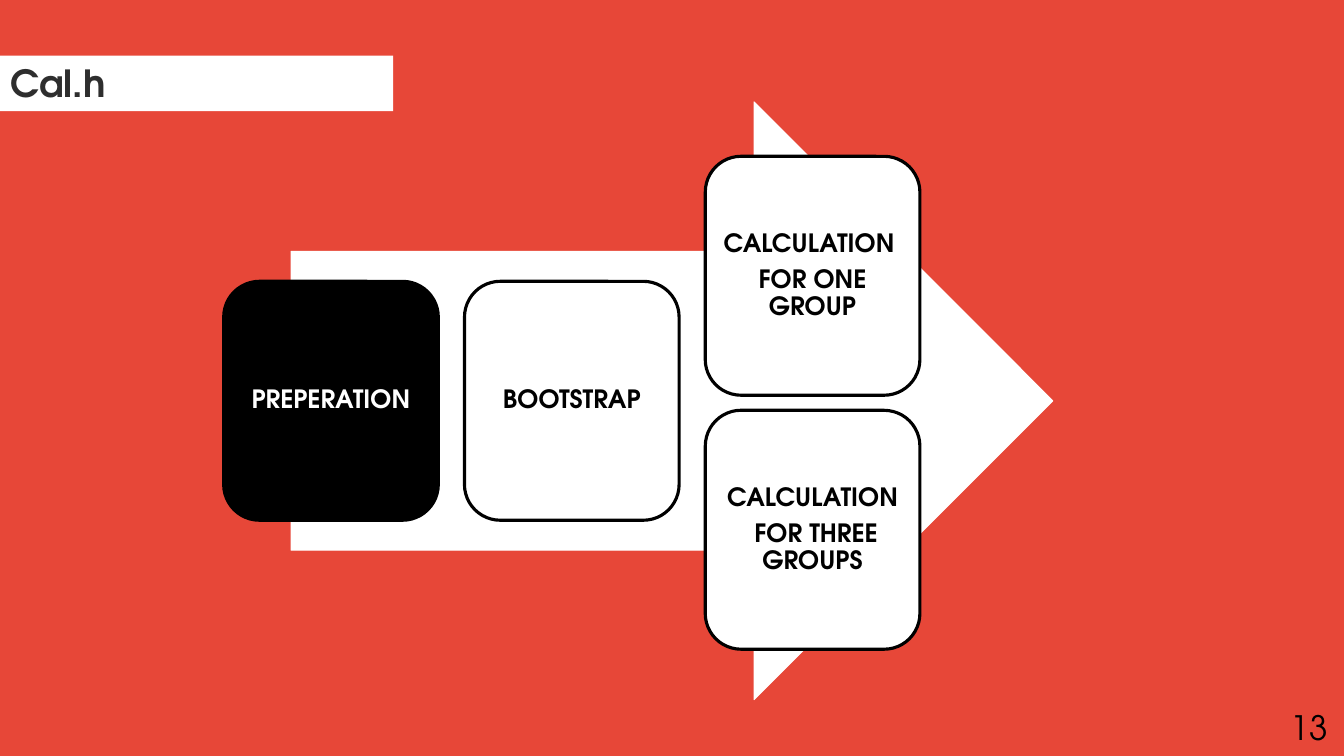
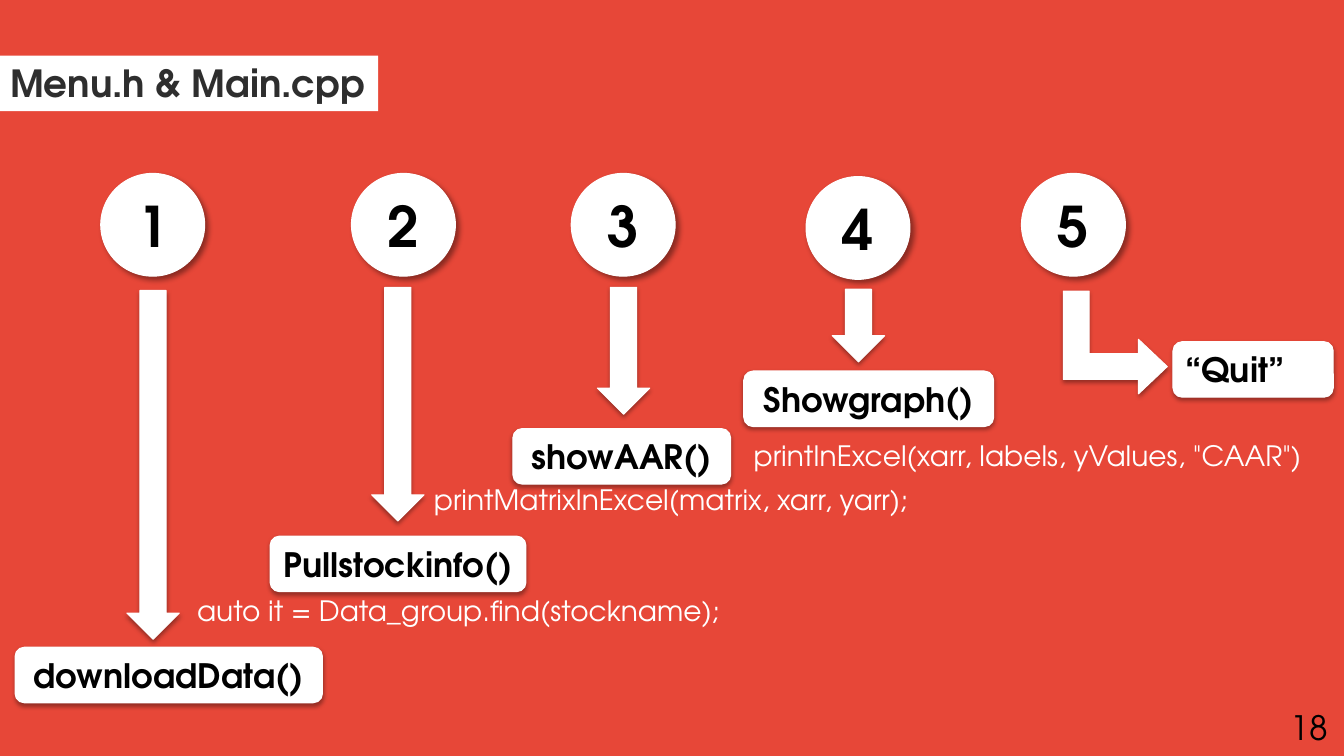
from dataclasses import dataclass
from typing import NamedTuple, Optional

from lxml import etree
from pptx import Presentation
from pptx.dml.color import RGBColor
from pptx.enum.shapes import MSO_SHAPE
from pptx.enum.text import MSO_ANCHOR, MSO_AUTO_SIZE, PP_ALIGN
from pptx.oxml.ns import qn
from pptx.util import Cm, Pt

LEFT, CENTER = PP_ALIGN.LEFT, PP_ALIGN.CENTER
TOP, MIDDLE = MSO_ANCHOR.TOP, MSO_ANCHOR.MIDDLE
ROUND, OVAL = MSO_SHAPE.ROUNDED_RECTANGLE, MSO_SHAPE.OVAL
RIGHT_ARROW, DOWN_ARROW = MSO_SHAPE.RIGHT_ARROW, MSO_SHAPE.DOWN_ARROW
BENT_ARROW = MSO_SHAPE.BENT_UP_ARROW
TITLE_ONLY = 5


@dataclass(frozen=True)
class Theme:
    font: str = "TeX Gyre Adventor"
    red: RGBColor = RGBColor(0xE7, 0x47, 0x38)
    white: RGBColor = RGBColor(0xFF, 0xFF, 0xFF)
    black: RGBColor = RGBColor(0, 0, 0)
    grey: RGBColor = RGBColor(0x2E, 0x2E, 0x2E)
    title: float = 26.7
    number: float = 40
    label: float = 24
    code: float = 20
    card: float = 18
    thin: float = 0.75
    thick: float = 2.25


T = Theme()


class Box(NamedTuple):
    """Left, top, width and height in centimetres."""
    x: float
    y: float
    w: float
    h: float


class Shadow(NamedTuple):
    alpha: int
    blur: float
    dist: float
    angle: int


class Card(NamedTuple):
    col: int
    y: float
    lines: tuple[str, ...]
    dark: bool = False


class Step(NamedTuple):
    cx: float
    y: float
    label: str
    label_x: float
    label_y: float
    label_w: float
    arrow: Optional[Box] = None
    code: str = ""
    code_x: float = 0
    code_y: float = 0
    code_w: float = 0
    align: PP_ALIGN = CENTER


SOFT = Shadow(35, 3.15, 1.8, 90)
DEEP = Shadow(40, 4, 3, 45)

# Process cards: three columns, the last one stacked
CARD_W, CARD_H, CARD_X, CARD_PITCH = 5.41, 6.02, 5.64, 6.07
CARD_Y, STACK_Y, STACK_PITCH = 7.09, 3.94, 6.4
CARDS = (
    Card(0, CARD_Y, ("PREPERATION",), True),
    Card(1, CARD_Y, ("BOOTSTRAP",)),
    Card(2, STACK_Y, ("CALCULATION ", "FOR ONE GROUP")),
    Card(2, STACK_Y + STACK_PITCH, ("CALCULATION", " FOR THREE GROUPS")),
)

# Menu steps: numbered circle, arrow, function label and code line
CIRCLE_W, CIRCLE_H, LABEL_H, CODE_H, ARROW_W = 2.62, 2.59, 1.4, 1.12, 1.32
STEPS = (
    Step(3.85, 4.37, "downloadData()", 0.38, 16.31, 7.75,
         Box(3.2, 7.32, ARROW_W, 8.79)),
    Step(10.17, 4.37, "Pullstockinfo()", 6.81, 13.51, 6.45,
         Box(9.37, 7.24, ARROW_W, 5.89),
         "auto it = Data_group.find(stockname);", 4.72, 14.83, 14.1),
    Step(15.71, 4.37, "showAAR()", 12.93, 10.8, 5.49,
         Box(15.06, 7.24, ARROW_W, 3.2),
         "printMatrixInExcel(matrix, xarr, yarr);", 10.69, 12.04, 12.7),
    Step(21.63, 4.45, "Showgraph()", 18.75, 9.35, 6.3,
         Box(20.98, 7.29, ARROW_W, 1.83),
         'printInExcel(xarr, labels, yValues, "CAAR")', 18.75, 10.92, 14.55),
    Step(27.06, 4.37, "“Quit”", 29.57, 8.61, 4.04, align=LEFT),
)


def place(sp, box: Box) -> None:
    sp.left, sp.top, sp.width, sp.height = (Cm(v) for v in box)


def write(sp, lines: tuple[str, ...], size: float, color: RGBColor,
          bold: bool = False, align: PP_ALIGN = LEFT,
          anchor: MSO_ANCHOR = TOP) -> None:
    tf = sp.text_frame
    tf.auto_size = MSO_AUTO_SIZE.NONE
    tf.word_wrap = True
    tf.vertical_anchor = anchor
    for i, line in enumerate(lines):
        p = tf.add_paragraph() if i else tf.paragraphs[0]
        p.alignment = align
        r = p.add_run()
        r.text = line
        r.font.name, r.font.size, r.font.bold = T.font, Pt(size), bold
        r.font.color.rgb = color


def add_shape(slide, kind: MSO_SHAPE, box: Box, fill: RGBColor = T.white,
              line: RGBColor = T.white, width: float = T.thin,
              shadow: Optional[Shadow] = None):
    sp = slide.shapes.add_shape(kind, *(Cm(v) for v in box))
    sp.fill.solid()
    sp.fill.fore_color.rgb = fill
    sp.line.color.rgb = line
    sp.line.width = Pt(width)
    sp.shadow.inherit = False
    if shadow:
        effects = sp._element.spPr.find(qn("a:effectLst"))
        outer = etree.SubElement(
            effects, qn("a:outerShdw"), blurRad=str(Pt(shadow.blur)),
            dist=str(Pt(shadow.dist)), dir=str(shadow.angle * 60000),
            rotWithShape="0")
        clr = etree.SubElement(outer, qn("a:srgbClr"), val=str(T.black))
        etree.SubElement(clr, qn("a:alpha"), val=str(shadow.alpha * 1000))
    return sp


def add_text(slide, box: Box, text: str, size: float, color: RGBColor) -> None:
    sp = slide.shapes.add_textbox(*(Cm(v) for v in box))
    write(sp, (text,), size, color)


def add_slide(prs, title: str, band_w: float, page: int):
    """Title on its white band, and the page number."""
    slide = prs.slides.add_slide(prs.slide_layouts[TITLE_ONLY])
    sp = slide.shapes.title
    place(sp, Box(0, 1.4, band_w, 1.4))
    sp.fill.solid()
    sp.fill.fore_color.rgb = T.white
    write(sp, (title,), T.title, T.grey, bold=True)
    add_text(slide, Box(32.28, 17.7, 1.57, 1.27), str(page), T.label, T.black)
    return slide


def add_card(slide, card: Card) -> None:
    box = Box(CARD_X + card.col * CARD_PITCH, card.y, CARD_W, CARD_H)
    fill, ink = (T.black, T.white) if card.dark else (T.white, T.black)
    sp = add_shape(slide, ROUND, box, fill, T.black, T.thick)
    write(sp, card.lines, T.card, ink, True, CENTER, MIDDLE)
    tf = sp.text_frame
    tf.margin_left = tf.margin_right = Cm(0.18)
    tf.margin_top = tf.margin_bottom = Cm(0.18)
    for p in tf.paragraphs:
        p.line_spacing = 0.9
        p.space_after = Pt(6)


def add_step(slide, number: int, step: Step) -> None:
    circle = Box(step.cx - CIRCLE_W / 2, step.y, CIRCLE_W, CIRCLE_H)
    sp = add_shape(slide, OVAL, circle, shadow=DEEP)
    write(sp, (str(number),), T.number, T.black, True, CENTER, MIDDLE)
    if step.arrow:
        add_shape(slide, DOWN_ARROW, step.arrow, shadow=SOFT)
    label = Box(step.label_x, step.label_y, step.label_w, LABEL_H)
    sp = add_shape(slide, ROUND, label, shadow=SOFT)
    write(sp, (step.label,), T.label, T.black, True, step.align, MIDDLE)
    if step.code:
        add_text(slide, Box(step.code_x, step.code_y, step.code_w, CODE_H),
                 step.code, T.code, T.white)


def build_process(prs) -> None:
    slide = add_slide(prs, "Cal.h", 9.91, 13)
    add_shape(slide, RIGHT_ARROW, Box(7.34, 2.57, 19.2, 15.06))
    for card in CARDS:
        add_card(slide, card)


def build_menu(prs) -> None:
    slide = add_slide(prs, "Menu.h & Main.cpp", 9.53, 18)
    for number, step in enumerate(STEPS, 1):
        add_step(slide, number, step)
    # Bent arrow from the last circle to its label
    sp = add_shape(slide, BENT_ARROW, Box(26.82, 7.32, 2.59, 2.62), shadow=SOFT)
    sp.rotation = 90
    for i, value in enumerate((0.25, 0.265, 0.28)):
        sp.adjustments[i] = value


def main() -> None:
    prs = Presentation()
    prs.slide_width, prs.slide_height = Cm(33.88), Cm(19.05)
    fill = prs.slide_master.background.fill
    fill.solid()
    fill.fore_color.rgb = T.red
    build_process(prs)
    build_menu(prs)
    prs.save("out.pptx")


if __name__ == "__main__":
    main()
